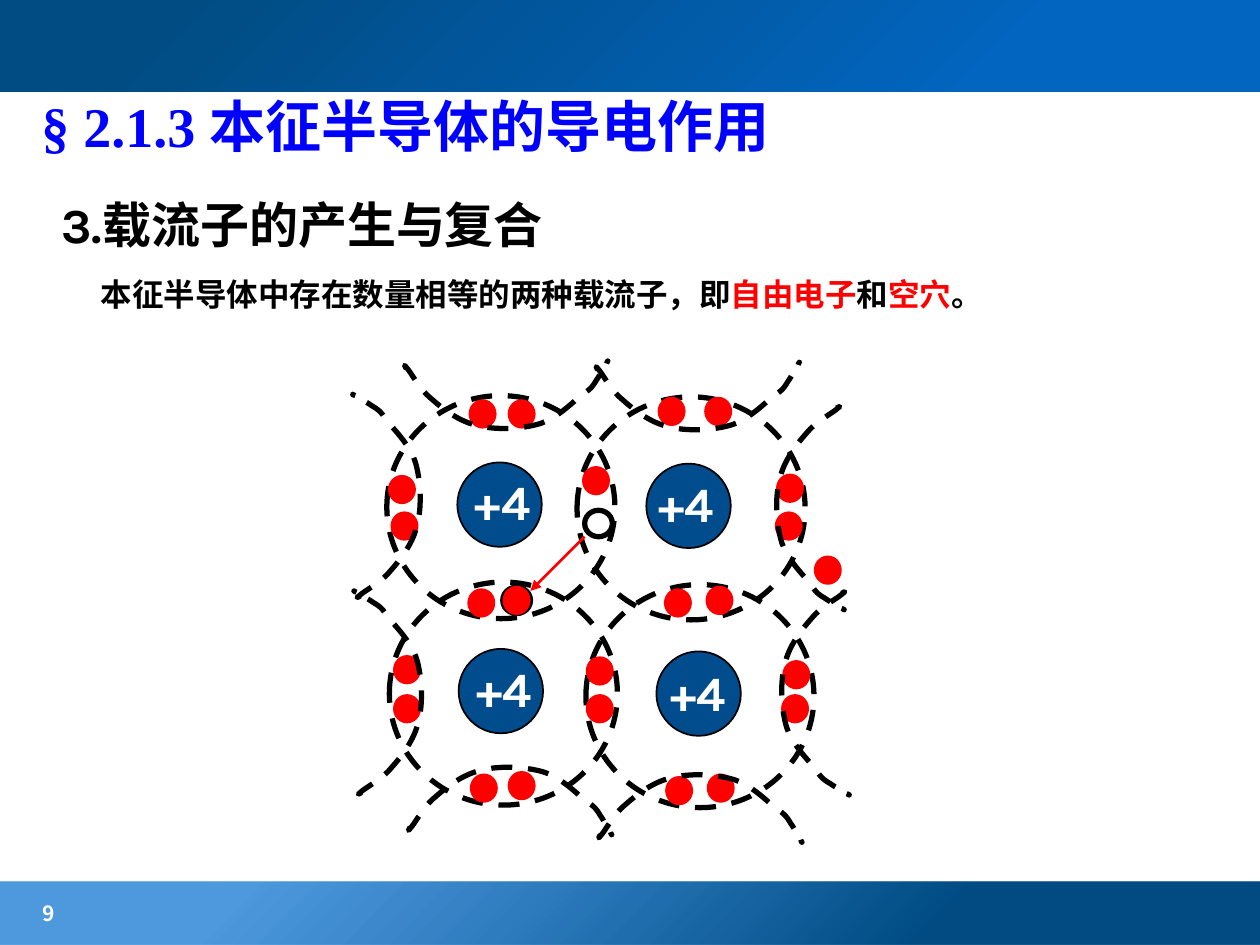
from lxml import etree
from pptx import Presentation
from pptx.dml.color import RGBColor
from pptx.enum.dml import MSO_LINE
from pptx.enum.shapes import MSO_CONNECTOR, MSO_SHAPE
from pptx.enum.text import MSO_ANCHOR
from pptx.oxml import parse_xml
from pptx.oxml.ns import nsdecls, qn
from pptx.util import Inches, Pt

COLORS = {
    "white": "FFFFFF", "black": "000000", "red": "FF0000", "title": "0000FF",
    "atom": "014C8D", "navy": "014C83", "sky": "026DCE", "azure": "0265BF",
}
CJK_FONT = "Noto Sans CJK SC"

presentation = Presentation()
presentation.slide_width = Inches(10)
presentation.slide_height = Inches(7.5)
slide = presentation.slides.add_slide(presentation.slide_layouts[6])
shapes = slide.shapes


def add_text(runs, left, top, width, height, size, color="black", font="Karla",
             anchor=MSO_ANCHOR.MIDDLE):
    """Add a bold one-line text box; each run is (text, format overrides)."""
    box = shapes.add_textbox(Inches(left), Inches(top), Inches(width), Inches(height))
    frame = box.text_frame
    frame.word_wrap = True
    frame.vertical_anchor = anchor
    for text, overrides in runs:
        run = frame.paragraphs[0].add_run()
        run.text = text
        run.font.size = Pt(size)
        run.font.bold = True
        run.font.name = overrides.get("font", font)
        run.font.color.rgb = RGBColor.from_string(COLORS[overrides.get("color", color)])
        east_asian = etree.SubElement(run.font._element, qn("a:ea"))
        east_asian.set("typeface", CJK_FONT)


def style(shape, fill=None, line="black", width=3, dashed=False):
    shape.shadow.inherit = False
    if fill:
        shape.fill.solid()
        shape.fill.fore_color.rgb = RGBColor.from_string(COLORS[fill])
    else:
        shape.fill.background()
    shape.line.color.rgb = RGBColor.from_string(COLORS[line])
    shape.line.width = Pt(width)
    if dashed:
        shape.line.dash_style = MSO_LINE.DASH


# Header and footer bands: radial gradients centred on the lower right corner
bands = [
    (7, 0.5, [(26, "navy", 100), (80, "sky", 70)]),
    (-0.03, 0.76, [(21, "azure", 100), (86, "navy", 100)]),
]
for top, height, stops in bands:
    band = shapes.add_shape(MSO_SHAPE.RECTANGLE, 0, Inches(top), Inches(10), Inches(height))
    band.shadow.inherit = False
    band.line.fill.background()
    stop_xml = "".join(
        f'<a:gs pos="{position * 1000}"><a:srgbClr val="{COLORS[color]}">'
        f'<a:alpha val="{alpha * 1000}"/></a:srgbClr></a:gs>'
        for position, color, alpha in stops)
    gradient = parse_xml(
        f'<a:gradFill {nsdecls("a")} rotWithShape="1"><a:gsLst>{stop_xml}</a:gsLst>'
        '<a:path path="circle"><a:fillToRect l="100000" t="100000"/></a:path></a:gradFill>')
    band._element.spPr.find(qn("a:prstGeom")).addnext(gradient)

add_text([(" 9", {})], 0.2, 7.09, 1.57, 0.31, size=12, color="white", font=CJK_FONT)
add_text([("§ 2.1.3 ", {"font": "Times New Roman"}), ("本征半导体的导电作用", {})],
         0.23, 0.39, 8.5, 1.21, size=32, color="title", font=CJK_FONT)
add_text([("3.载流子的产生与复合", {})], 0.39, 1.49, 4.34, 0.57, size=28)

# Four atoms, each with its ring of shared bonds
atoms = [(3.63, 3.67), (5.13, 3.68), (3.64, 5.15), (5.21, 5.17)]
bond_rings = [(3.07, 3.14), (4.58, 3.15), (3.09, 4.62), (4.65, 4.64)]
for (atom_left, atom_top), (ring_left, ring_top) in zip(atoms, bond_rings):
    atom = shapes.add_shape(MSO_SHAPE.OVAL, Inches(atom_left), Inches(atom_top),
                            Inches(0.67), Inches(0.67))
    style(atom, fill="atom", width=1)
    ring = shapes.add_shape(MSO_SHAPE.OVAL, Inches(ring_left), Inches(ring_top),
                            Inches(1.81), Inches(1.77))
    style(ring, dashed=True)

bound_electrons = [
    (3.74, 3.19), (4.05, 3.19), (5.24, 3.17), (5.61, 3.17),
    (3.10, 3.79), (3.12, 4.08), (4.64, 3.72), (6.18, 3.78), (6.17, 4.08),
    (3.73, 4.69), (5.29, 4.69), (5.62, 4.67),
    (3.14, 5.22), (3.14, 5.53), (4.67, 5.23), (4.67, 5.53), (6.23, 5.26), (6.22, 5.53),
    (3.75, 6.16), (4.05, 6.14), (5.30, 6.18), (5.63, 6.16),
]
for left, top in bound_electrons:
    electron = shapes.add_shape(MSO_SHAPE.OVAL, Inches(left), Inches(top),
                                Inches(0.18), Inches(0.19))
    style(electron, fill="red", line="red")

# Outer bonds: one chain of cubic curves, mirrored and turned to face each side.
# After the start, every three points are two controls and an end.
curve_points = [
    (0.49, 0.03),
    (0.49, 0.03), (0.54, 0.00), (0.50, 0.03),
    (0.46, 0.07), (0.33, 0.13), (0.25, 0.23),
    (0.17, 0.32), (0.07, 0.45), (0.04, 0.59),
    (0.00, 0.73), (0.01, 0.94), (0.05, 1.08),
    (0.09, 1.22), (0.22, 1.35), (0.28, 1.42),
    (0.33, 1.50), (0.35, 1.51), (0.40, 1.54),
    (0.44, 1.57), (0.51, 1.60), (0.53, 1.62),
    (0.56, 1.63), (0.55, 1.63), (0.55, 1.63),
    (0.55, 1.63), (0.54, 1.62), (0.53, 1.62),
]
CURVE_WIDTH, CURVE_HEIGHT = 0.56, 1.63
outer_bonds = [  # left, top, rotation, mirrored in x, mirrored in y
    (6.15, 3.21, 0, False, False), (6.19, 4.68, 0, False, False),
    (3.73, 2.32, 270, False, False), (5.25, 2.33, 270, False, False),
    (3.76, 5.54, 90, False, True), (5.27, 5.60, 90, False, True),
    (2.79, 3.13, 0, True, True), (2.80, 4.69, 0, True, True),
]
for left, top, rotation, mirror_x, mirror_y in outer_bonds:
    points = [(Inches(left + (CURVE_WIDTH - x if mirror_x else x)),
               Inches(top + (CURVE_HEIGHT - y if mirror_y else y)))
              for x, y in curve_points]
    builder = shapes.build_freeform(*points[0])
    builder.add_line_segments(points[1:], close=False)
    bond = builder.convert_to_shape()
    bond.rotation = rotation
    style(bond, dashed=True)
    segments = list(bond._element.iter(qn("a:lnTo")))
    for index in range(0, len(segments), 3):
        curve = etree.Element(qn("a:cubicBezTo"))
        segments[index].addprevious(curve)
        for segment in segments[index:index + 3]:
            curve.append(segment[0])
            segment.getparent().remove(segment)

for left, top in [(3.67, 3.69), (5.13, 3.71), (3.68, 5.18), (5.22, 5.21)]:
    add_text([("+4", {})], left, top, 0.77, 0.57, size=28, color="white",
             anchor=MSO_ANCHOR.TOP)

add_text([("本征半导体中存在数量相等的两种载流子，即", {}), ("自由电子", {"color": "red"}),
          ("和", {}), ("空穴", {"color": "red"}), ("。", {})],
         0.7, 1.88, 8.31, 0.9, size=18)

# Free electron, the electron filling a hole, and the hole it came from
carriers = [
    (6.48, 4.43, 0.18, 0.19, "red", "red"),
    (3.99, 4.66, 0.22, 0.21, "white", "black"),
    (4.01, 4.67, 0.18, 0.19, "red", "red"),
    (4.64, 4.05, 0.22, 0.21, "white", "black"),
]
for left, top, width, height, fill, line in carriers:
    carrier = shapes.add_shape(MSO_SHAPE.OVAL, Inches(left), Inches(top),
                               Inches(width), Inches(height))
    style(carrier, fill=fill, line=line)

arrow = shapes.add_connector(MSO_CONNECTOR.STRAIGHT, Inches(4.64), Inches(4.26),
                             Inches(4.21), Inches(4.69))
arrow.line.color.rgb = RGBColor.from_string(COLORS["red"])
arrow.line.width = Pt(1.5)
etree.SubElement(arrow.line._get_or_add_ln(), qn("a:tailEnd")).set("type", "triangle")
etree.SubElement(arrow._element.spPr, qn("a:effectLst"))

presentation.save("out.pptx")
